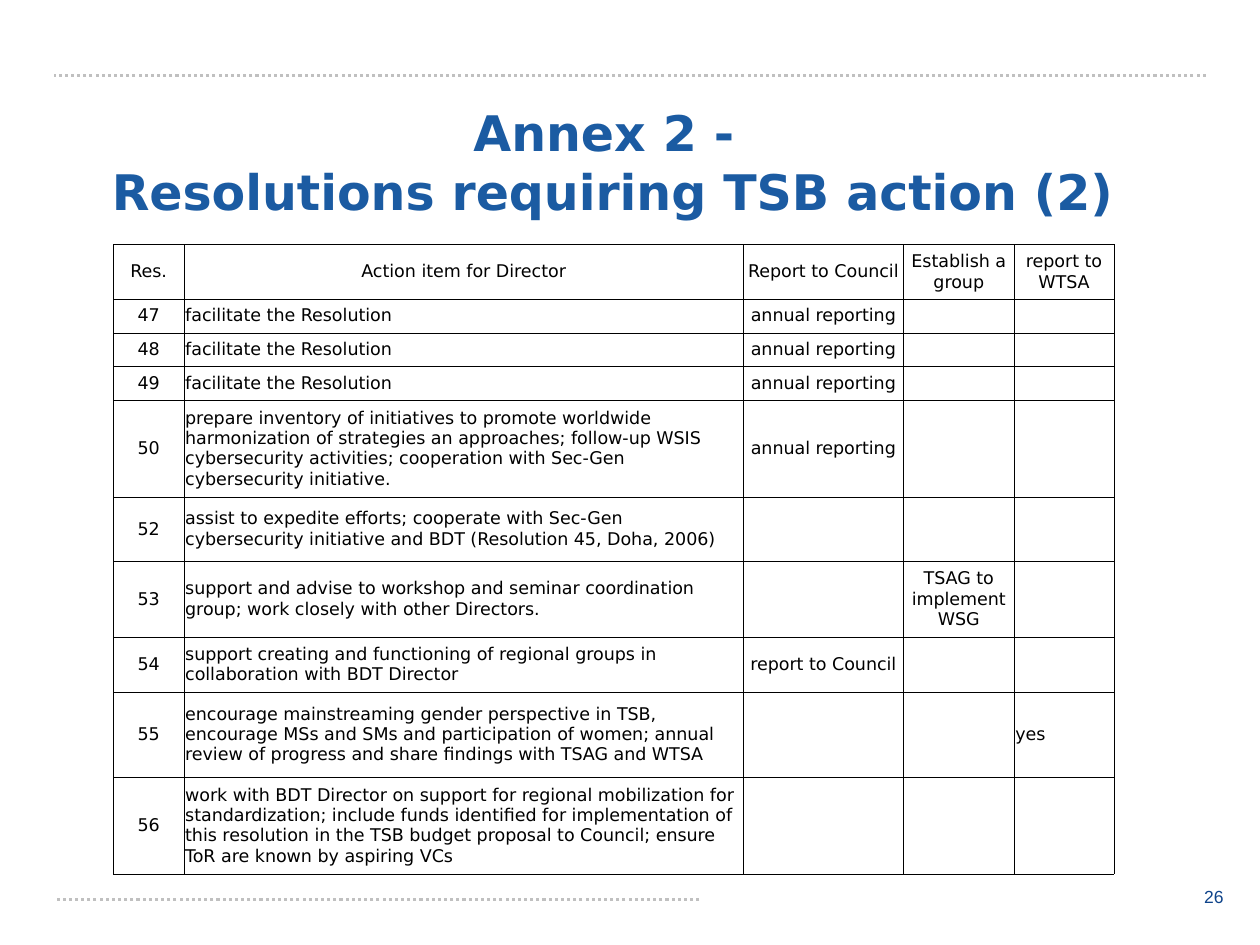
from lxml.etree import SubElement
from pptx import Presentation
from pptx.dml.color import RGBColor
from pptx.enum.dml import MSO_LINE
from pptx.enum.shapes import MSO_CONNECTOR, MSO_SHAPE
from pptx.enum.text import MSO_ANCHOR, MSO_AUTO_SIZE, PP_ALIGN
from pptx.oxml.ns import qn
from pptx.util import Inches, Pt

COLORS = {"title": "1B5BA2", "number": "0E438A", "text": "000000",
          "rule": "C0C0C0", "paper": "FFFFFF"}
FONT = "DejaVu Sans"

COLUMN_WIDTHS = [0.56, 4.44, 1.27, 0.88, 0.79]
ROW_HEIGHTS = [0.34, 0.19, 0.19, 0.19, 0.68, 0.51, 0.57, 0.38, 0.68, 0.68]
HEADER = ["Res.", "Action item for Director", "Report to Council",
          "Establish a group", "report to WTSA"]
FACILITATE = "facilitate the Resolution"
ANNUAL = "annual reporting"
RESOLUTIONS = [
    ["47", FACILITATE, ANNUAL, "", ""],
    ["48", FACILITATE, ANNUAL, "", ""],
    ["49", FACILITATE, ANNUAL, "", ""],
    ["50", "prepare inventory of initiatives to promote worldwide harmonization "
           "of strategies an approaches; follow-up WSIS cybersecurity activities; "
           "cooperation with Sec-Gen cybersecurity initiative.", ANNUAL, "", ""],
    ["52", "assist to expedite efforts; cooperate with Sec-Gen cybersecurity "
           "initiative and BDT (Resolution 45, Doha, 2006)", "", "", ""],
    ["53", "support and advise to workshop and seminar coordination group; "
           "work closely with other Directors.", "", "TSAG to implement WSG", ""],
    ["54", "support creating and functioning of regional groups in "
           "collaboration with BDT Director", "report to Council", "", ""],
    ["55", "encourage mainstreaming gender perspective in TSB, encourage MSs and "
           "SMs and participation of women; annual review of progress and share "
           "findings with TSAG and WTSA", "", "", "yes"],
    ["56", "work with BDT Director on support for regional mobilization for "
           "standardization; include funds identified for implementation of this "
           "resolution in the TSB budget proposal to Council; ensure ToR are known "
           "by aspiring VCs", "", "", ""],
]


def rgb(name):
    return RGBColor.from_string(COLORS[name])


def write(frame, text, size=10, color="text", font=FONT, bold=False,
          align=PP_ALIGN.CENTER):
    """Fill a text frame with one formatted paragraph."""
    para = frame.paragraphs[0]
    para.alignment = align
    if not text:
        # An empty paragraph takes its height from its end mark
        SubElement(para._p, qn("a:endParaRPr"), sz=str(size * 100))
        return
    para.text = text
    for span in para.runs:
        span.font.name, span.font.size, span.font.bold = font, Pt(size), bold
        span.font.color.rgb = rgb(color)


class SlideBuilder:
    def __init__(self, page):
        self.page = page

    def title(self, text, left, top, width, height):
        box = self.page.shapes.title
        box.left, box.top = Inches(left), Inches(top)
        box.width, box.height = Inches(width), Inches(height)
        frame = box.text_frame
        frame.vertical_anchor = MSO_ANCHOR.MIDDLE
        frame.auto_size = MSO_AUTO_SIZE.SHAPE_TO_FIT_TEXT
        write(frame, text, size=28, color="title", bold=True)

    def rule(self, start, end, y):
        line = self.page.shapes.add_connector(
            MSO_CONNECTOR.STRAIGHT, Inches(start), Inches(y), Inches(end), Inches(y))
        line.line.color.rgb = rgb("rule")
        line.line.width = Pt(1.75)
        line.line.dash_style = MSO_LINE.ROUND_DOT
        SubElement(line._element.spPr, qn("a:effectLst"))

    def page_number(self, text, left, top, width, height):
        box = self.page.shapes.add_shape(
            MSO_SHAPE.RECTANGLE, Inches(left), Inches(top), Inches(width), Inches(height))
        box.shadow.inherit = False
        box.fill.solid()
        box.fill.fore_color.rgb = rgb("paper")
        box.line.fill.background()
        frame = box.text_frame
        frame.word_wrap = False
        frame.vertical_anchor = MSO_ANCHOR.TOP
        write(frame, text, color="number", font="Arial", align=PP_ALIGN.RIGHT)

    def table(self, rows, left, top):
        table = self.page.shapes.add_table(
            len(rows), len(COLUMN_WIDTHS), Inches(left), Inches(top),
            Inches(sum(COLUMN_WIDTHS)), Inches(sum(ROW_HEIGHTS))).table
        table.first_row = table.horz_banding = False
        for column, width in zip(table.columns, COLUMN_WIDTHS):
            column.width = Inches(width)
        for row, height, texts in zip(table.rows, ROW_HEIGHTS, rows):
            row.height = Inches(height)
            for index, (cell, text) in enumerate(zip(row.cells, texts)):
                is_left = texts is not HEADER and index in (1, 4)
                self.cell(cell, text, PP_ALIGN.LEFT if is_left else PP_ALIGN.CENTER)

    def cell(self, cell, text, align):
        cell.margin_left = cell.margin_right = Inches(0.01)
        cell.margin_top = cell.margin_bottom = Inches(0.05)
        cell.vertical_anchor = MSO_ANCHOR.MIDDLE
        write(cell.text_frame, text, align=align)
        # Borders come before the fill in the cell properties
        properties = cell._tc.get_or_add_tcPr()
        for side in ("lnL", "lnR", "lnT", "lnB"):
            border = SubElement(properties, qn(f"a:{side}"), w=str(Pt(0.25)))
            fill = SubElement(border, qn("a:solidFill"))
            SubElement(fill, qn("a:srgbClr"), val=COLORS["text"])
        cell.fill.background()


def main():
    deck = Presentation()
    deck.slide_width, deck.slide_height = Inches(10), Inches(7.5)
    title_only = deck.slide_layouts[5]
    builder = SlideBuilder(deck.slides.add_slide(title_only))

    # Frame: dotted rules and page number
    builder.rule(5.55, 0.43, 7.14)
    builder.rule(9.57, 0.43, 0.6)
    builder.page_number("26", 8.93, 6.98, 0.88, 0.29)

    # Content
    builder.title("Annex 2 - \vResolutions requiring TSB action (2)",
                  0.51, 0.76, 8.7, 1.04)
    builder.table([HEADER] + RESOLUTIONS, 0.9, 1.94)

    deck.save("out.pptx")


if __name__ == "__main__":
    main()
